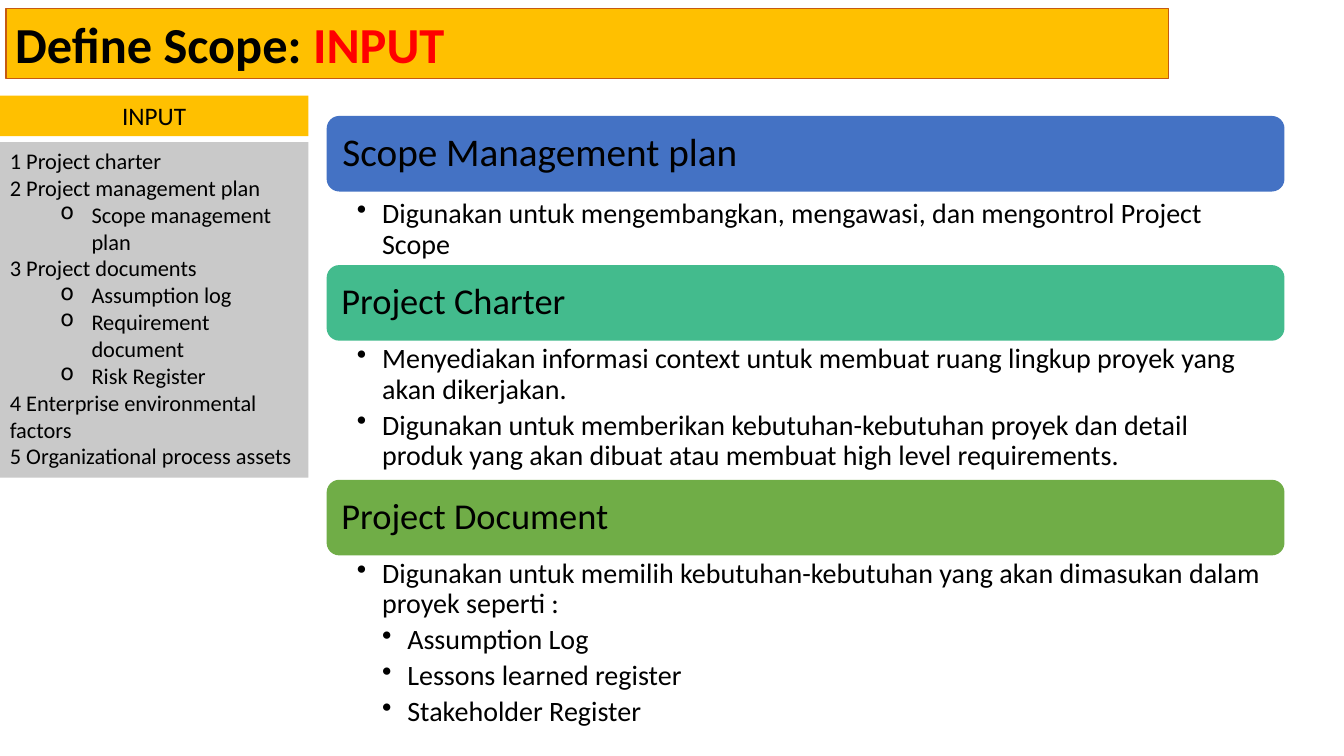
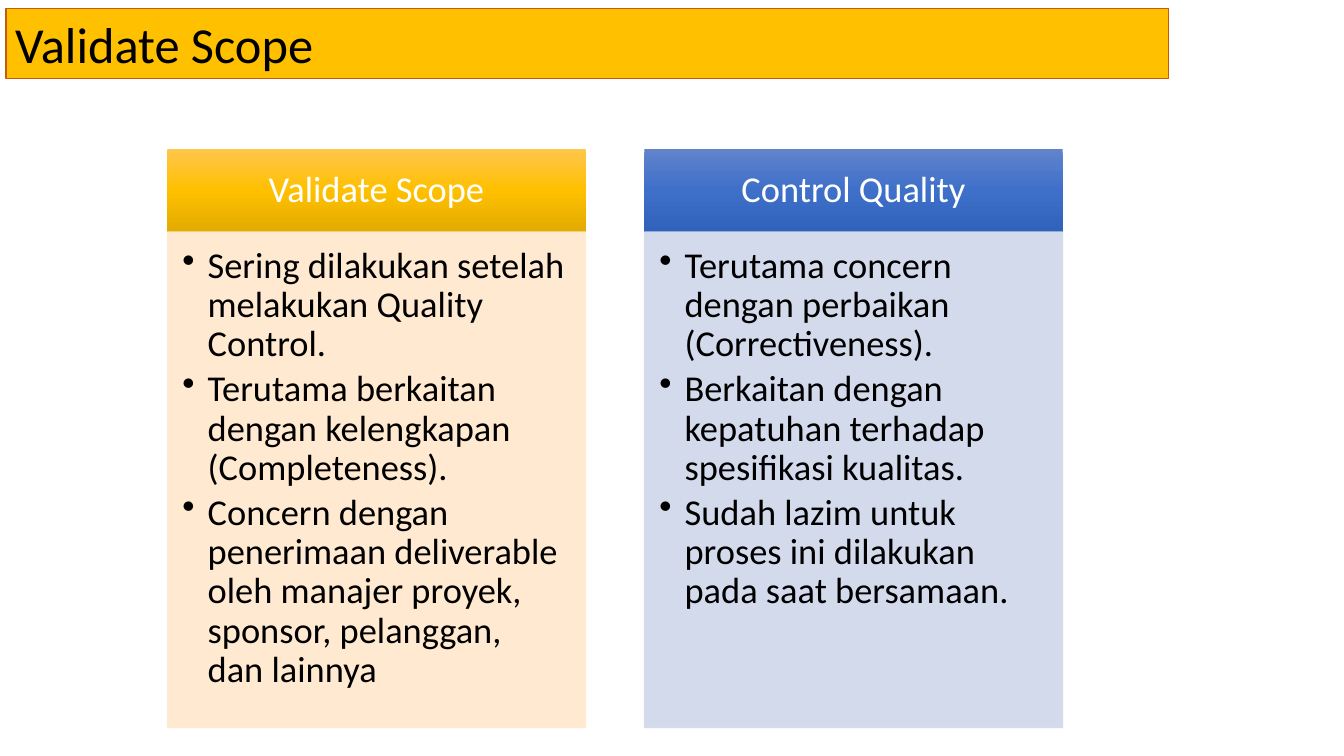
import copy
from dataclasses import dataclass
from typing import NamedTuple, Optional

from lxml import etree
from pptx import Presentation
from pptx import util as u
from pptx.dml.color import RGBColor
from pptx.enum import shapes, text
from pptx.oxml import ns

CELL = u.Inches(0.01)
COLS, ROWS = 1333, 750
FONT = "Calibri"

BLACK = RGBColor(0x00, 0x00, 0x00)
WHITE = RGBColor(0xFF, 0xFF, 0xFF)
RED = RGBColor(0xFF, 0x00, 0x00)
AMBER = RGBColor(0xFF, 0xC0, 0x00)
AMBER_LIGHT = RGBColor(0xFF, 0xC6, 0x4B)
AMBER_DARK = RGBColor(0xE3, 0xAB, 0x00)
CREAM = RGBColor(0xFF, 0xE8, 0xCC)
RUST = RGBColor(0xC5, 0x5A, 0x11)
GREY = RGBColor(0xC9, 0xC9, 0xC9)
BLUE = RGBColor(0x44, 0x72, 0xC4)
BLUE_LIGHT = RGBColor(0x61, 0x83, 0xCB)
BLUE_MID = RGBColor(0x3E, 0x70, 0xCA)
BLUE_DARK = RGBColor(0x30, 0x62, 0xBB)
PALE_BLUE = RGBColor(0xCF, 0xD6, 0xEA)
TEAL = RGBColor(0x43, 0xBB, 0x8D)
GREEN = RGBColor(0x70, 0xAD, 0x47)

LEFT, CENTER = text.PP_ALIGN.LEFT, text.PP_ALIGN.CENTER
TOP, MIDDLE = text.MSO_ANCHOR.TOP, text.MSO_ANCHOR.MIDDLE
RECT = shapes.MSO_SHAPE.RECTANGLE
ROUNDED = shapes.MSO_SHAPE.ROUNDED_RECTANGLE


class Box(NamedTuple):
    col: int
    row: int
    cols: int
    rows: int


class Run(NamedTuple):
    text: str
    color: Optional[RGBColor] = None
    bold: bool = False


class Para(NamedTuple):
    runs: tuple[Run, ...]
    level: int = 0


@dataclass(frozen=True)
class Style:
    size: int
    color: RGBColor = BLACK
    align: text.PP_ALIGN = LEFT
    anchor: text.MSO_ANCHOR = TOP
    insets: tuple[int, int, int, int] = (10, 5, 10, 5)
    spacing: float = 1.0
    after: int = 0
    bullet: str = "•"
    margin: int = 25
    hang: int = 25
    grow: bool = False


@dataclass(frozen=True)
class Section:
    title: str
    size: int
    color: RGBColor
    body: tuple[Para, ...]
    rows: int
    gap: int = 0


@dataclass(frozen=True)
class Card:
    title: str
    stops: tuple[RGBColor, ...]
    tint: RGBColor
    points: tuple[Para, ...]


def para(words: str, level: int = 0) -> Para:
    return Para((Run(words),), level)


TITLE = Style(36, insets=(9, 5, 9, 5), grow=True)
SIDE_HEAD = Style(18, align=CENTER, grow=True)
SIDE_LIST = Style(16, bullet="o", margin=81, hang=31, grow=True)
SECTION_BODY = Style(20, insets=(30, 4, 20, 4), spacing=0.9, after=4)
CARD_HEAD = Style(26, WHITE, CENTER, MIDDLE, (20, 12, 20, 12), 0.9)
CARD_BODY = Style(26, insets=(15, 15, 20, 23), spacing=0.9, after=4)

TITLE_BOX = Box(6, 8, 1153, 70)
SIDE_COLS = 306
SECTION_COL, SECTION_ROW, SECTION_COLS, BAND_ROWS = 324, 115, 950, 75
CARD_COL, CARD_ROW, CARD_COLS, CARD_STEP = 166, 148, 415, 473
CARD_HEAD_ROWS, CARD_BODY_ROWS = 82, 492

SIDE_ITEMS = (
    para("1 Project charter"),
    para("2 Project management plan"),
    para("Scope management plan", 1),
    para("3 Project documents"),
    para("Assumption log", 1),
    para("Requirement document", 1),
    para("Risk Register", 1),
    para("4 Enterprise environmental factors"),
    para("5 Organizational process assets"),
)

SECTIONS = (
    Section("Scope Management plan", 28, BLUE, (
        para("Digunakan untuk mengembangkan, mengawasi, dan mengontrol "
             "Project Scope", 1),
    ), 69, 4),
    Section("Project Charter", 26, TEAL, (
        para("Menyediakan informasi context untuk membuat ruang lingkup "
             "proyek yang akan dikerjakan.", 1),
        para("Digunakan untuk memberikan kebutuhan-kebutuhan proyek dan detail "
             "produk yang akan dibuat atau membuat high level requirements.", 1),
    ), 138),
    Section("Project Document", 26, GREEN, (
        para("Digunakan untuk memilih kebutuhan-kebutuhan yang akan dimasukan "
             "dalam proyek seperti :", 1),
        para("Assumption Log", 2),
        para("Lessons learned register", 2),
        para("Stakeholder Register", 2),
    ), 182),
)

CARDS = (
    Card("Validate Scope", (AMBER_LIGHT, AMBER, AMBER_DARK), CREAM, (
        para("Sering dilakukan setelah melakukan Quality Control.", 1),
        para("Terutama berkaitan dengan kelengkapan (Completeness).", 1),
        para("Concern dengan penerimaan deliverable oleh manajer proyek, "
             "sponsor, pelanggan, dan lainnya", 1),
    )),
    Card("Control Quality", (BLUE_LIGHT, BLUE_MID, BLUE_DARK), PALE_BLUE, (
        para("Terutama concern dengan perbaikan (Correctiveness).", 1),
        para("Berkaitan dengan kepatuhan terhadap spesifikasi kualitas.", 1),
        para("Sudah lazim untuk proses ini dilakukan pada saat bersamaan.", 1),
    )),
)


def place(box: Box) -> tuple[int, ...]:
    return tuple(CELL * n for n in box)


def write(sp, paras: tuple[Para, ...], style: Style) -> None:
    tf = sp.text_frame
    tf.word_wrap = True
    tf.auto_size = (text.MSO_AUTO_SIZE.SHAPE_TO_FIT_TEXT if style.grow
                    else text.MSO_AUTO_SIZE.NONE)
    tf.vertical_anchor = style.anchor
    tf.margin_left, tf.margin_top, tf.margin_right, tf.margin_bottom = (
        CELL * n for n in style.insets)
    for i, item in enumerate(paras):
        p = tf.add_paragraph() if i else tf.paragraphs[0]
        p.level = item.level
        if item.level:
            pPr = p._p.get_or_add_pPr()
            margin = style.margin + (item.level - 1) * style.hang
            pPr.set("marL", str(CELL * margin))
            pPr.set("indent", str(-CELL * style.hang))
            etree.SubElement(pPr, ns.qn("a:buChar")).set("char", style.bullet)
        p.alignment = style.align
        p.line_spacing = style.spacing
        p.space_after = u.Pt(style.after)
        for run in item.runs:
            r = p.add_run()
            r.text = run.text
            r.font.name = FONT
            r.font.size = u.Pt(style.size)
            r.font.bold = run.bold
            r.font.color.rgb = run.color or style.color


def add_panel(s, box: Box, color: RGBColor, paras: tuple[Para, ...],
              style: Style, kind=RECT):
    sp = s.shapes.add_shape(kind, *place(box))
    sp.shadow.inherit = False
    sp.fill.solid()
    sp.fill.fore_color.rgb = color
    sp.line.fill.background()
    write(sp, paras, style)
    return sp


def set_outline(sp, color: RGBColor, width: float) -> None:
    sp.line.color.rgb = color
    sp.line.width = u.Pt(width)


def set_gradient(sp, colors: tuple[RGBColor, ...]) -> None:
    sp.fill.gradient()
    sp.fill.gradient_angle = 270
    stops = sp.element.spPr.find(".//" + ns.qn("a:gsLst"))
    while len(stops) < len(colors):
        stops.append(copy.deepcopy(stops[0]))
    for i, (stop, color) in enumerate(zip(sp.fill.gradient_stops, colors)):
        stop.position = i / (len(colors) - 1)
        stop.color.rgb = color


def set_opacity(sp, percent: int) -> None:
    for color in sp.element.spPr.iter(ns.qn("a:srgbClr")):
        etree.SubElement(color, ns.qn("a:alpha")).set("val", str(percent * 1000))


def add_slide(prs, *title: Run):
    s = prs.slides.add_slide(prs.slide_layouts[6])
    sp = add_panel(s, TITLE_BOX, AMBER, (Para(title),), TITLE)
    set_outline(sp, RUST, 0.75)
    return s


def add_section(s, section: Section, row: int) -> int:
    inset = 12 if section.size > 26 else 11
    head = Style(section.size, anchor=MIDDLE, insets=(inset,) * 4, spacing=0.9)
    add_panel(s, Box(SECTION_COL, row, SECTION_COLS, BAND_ROWS), section.color,
              (para(section.title),), head, ROUNDED)
    row += BAND_ROWS + section.gap
    body = Box(SECTION_COL, row, SECTION_COLS, section.rows)
    write(s.shapes.add_textbox(*place(body)), section.body, SECTION_BODY)
    return row + section.rows


def add_card(s, card: Card, col: int) -> None:
    head = add_panel(s, Box(col, CARD_ROW, CARD_COLS, CARD_HEAD_ROWS),
                     card.stops[1], (para(card.title),), CARD_HEAD)
    set_gradient(head, card.stops)
    body = add_panel(
        s, Box(col, CARD_ROW + CARD_HEAD_ROWS, CARD_COLS, CARD_BODY_ROWS),
        card.tint, card.points, CARD_BODY)
    set_outline(body, card.tint, 0.5)
    set_opacity(body, 90)


def build_input(prs) -> None:
    s = add_slide(prs, Run("Define Scope: ", bold=True), Run("INPUT", RED, True))
    row = SECTION_ROW
    for section in SECTIONS:
        row = add_section(s, section, row)
    add_panel(s, Box(0, 95, SIDE_COLS, 40), AMBER, (para("INPUT"),), SIDE_HEAD)
    add_panel(s, Box(0, 141, SIDE_COLS, 333), GREY, SIDE_ITEMS, SIDE_LIST)


def build_validate(prs) -> None:
    s = add_slide(prs, Run("Validate Scope"))
    for i, card in enumerate(CARDS):
        add_card(s, card, CARD_COL + i * CARD_STEP)


def main() -> None:
    prs = Presentation()
    prs.slide_width, prs.slide_height = CELL * COLS, CELL * ROWS
    build_input(prs)
    build_validate(prs)
    prs.save("out.pptx")


if __name__ == "__main__":
    main()
